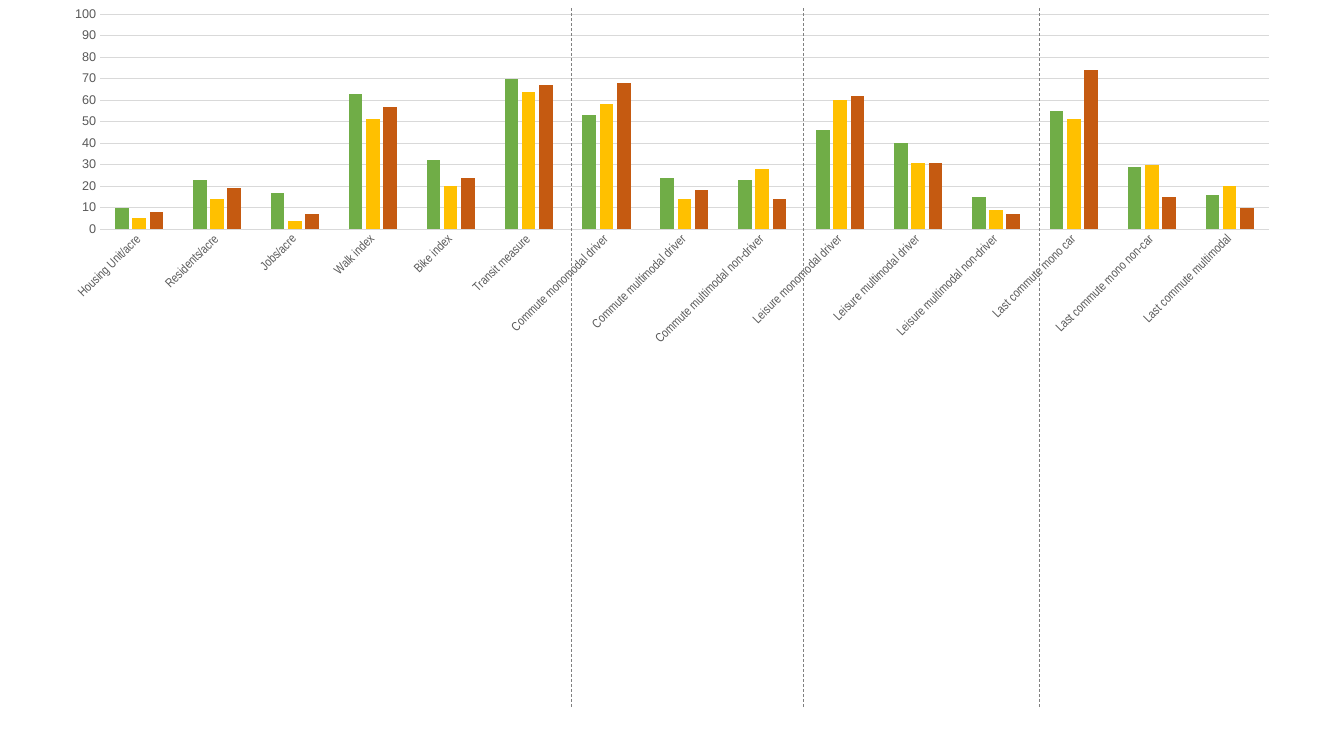
from dataclasses import dataclass

from lxml import etree
from pptx import Presentation
from pptx.chart.axis import CategoryAxis, ValueAxis
from pptx.chart.chart import Chart
from pptx.chart.data import CategoryChartData
from pptx.dml.color import RGBColor
from pptx.enum.chart import XL_CHART_TYPE, XL_TICK_MARK
from pptx.enum.dml import MSO_LINE
from pptx.enum.shapes import MSO_CONNECTOR
from pptx.oxml.ns import qn
from pptx.slide import Slide
from pptx.util import Inches, Pt

COLUMNS = XL_CHART_TYPE.COLUMN_CLUSTERED
NO_TICK = XL_TICK_MARK.NONE
DASH = MSO_LINE.DASH
STRAIGHT = MSO_CONNECTOR.STRAIGHT
BLANK_LAYOUT = 6


@dataclass(frozen=True)
class Theme:
    """Colours, fonts and sizes of the slide."""
    label: RGBColor = RGBColor(0x59, 0x59, 0x59)
    grid: RGBColor = RGBColor(0xD9, 0xD9, 0xD9)
    divider: RGBColor = RGBColor(0x80, 0x80, 0x80)
    green: RGBColor = RGBColor(0x70, 0xAD, 0x47)
    yellow: RGBColor = RGBColor(0xFF, 0xC0, 0x00)
    orange: RGBColor = RGBColor(0xC5, 0x5A, 0x11)
    value_font: str = "Arial"
    category_font: str = "Arial Narrow"
    label_size: Pt = Pt(9)
    grid_width: Pt = Pt(0.75)
    divider_width: Pt = Pt(0.5)


@dataclass(frozen=True)
class ColumnSeries:
    """One set of columns and its colour."""
    name: str
    color: RGBColor
    values: tuple[int, ...]


THEME = Theme()
TRAVELLERS = ("monomodal driver", "multimodal driver", "multimodal non-driver")
CATEGORIES = (
    "Housing Unit/acre", "Residents/acre", "Jobs/acre",
    "Walk index", "Bike index", "Transit measure",
    *(f"{trip} {traveller}" for trip in ("Commute", "Leisure") for traveller in TRAVELLERS),
    *(f"Last commute {mode}" for mode in ("mono car", "mono non-car", "multimodal")),
)
SERIES = (
    ColumnSeries("Series 1", THEME.green,
                 (10, 23, 17, 63, 32, 70, 53, 24, 23, 46, 40, 15, 55, 29, 16)),
    ColumnSeries("Series 2", THEME.yellow,
                 (5, 14, 4, 51, 20, 64, 58, 14, 28, 60, 31, 9, 51, 30, 20)),
    ColumnSeries("Series 3", THEME.orange,
                 (8, 19, 7, 57, 24, 67, 68, 18, 14, 62, 31, 7, 74, 15, 10)),
)
PLOT_AREA = {"x": 0.04, "y": 0.04, "w": 0.94, "h": 0.61}
LABEL_ROTATION = -45
DIVIDER_LEFTS = (5.67, 7.97, 10.31)
DIVIDER_STOPS = (0.08, 3.56, 7.03)


def style_axis(axis: CategoryAxis | ValueAxis, font_name: str) -> None:
    """Remove tick marks and format the labels of an axis."""
    axis.major_tick_mark = axis.minor_tick_mark = NO_TICK
    font = axis.tick_labels.font
    font.name, font.size = font_name, THEME.label_size
    font.color.rgb = THEME.label


def place_plot_area(chart: Chart) -> None:
    """Fix the inner plot area as fractions of the chart frame."""
    plot_area = chart.element.find(".//" + qn("c:plotArea"))
    for previous in plot_area.findall(qn("c:layout")):
        plot_area.remove(previous)
    layout = etree.Element(qn("c:layout"))
    manual = etree.SubElement(layout, qn("c:manualLayout"))
    settings = {"layoutTarget": "inner", "xMode": "edge", "yMode": "edge", **PLOT_AREA}
    for name, value in settings.items():
        etree.SubElement(manual, qn(f"c:{name}")).set("val", str(value))
    plot_area.insert(0, layout)


def add_measure_chart(slide: Slide) -> None:
    """Add the column chart of all measures."""
    data = CategoryChartData()
    data.categories = CATEGORIES
    for series in SERIES:
        data.add_series(series.name, series.values)
    chart = slide.shapes.add_chart(
        COLUMNS, Inches(0.5), Inches(0), Inches(12.33), Inches(3.5), data).chart
    chart.has_legend = chart.has_title = False
    chart.font.name, chart.font.size = THEME.value_font, THEME.label_size
    place_plot_area(chart)

    plot = chart.plots[0]
    plot.gap_width, plot.overlap, plot.vary_by_categories = 219, -27, False
    for columns, series in zip(plot.series, SERIES):
        columns.format.fill.solid()
        columns.format.fill.fore_color.rgb = series.color

    category_axis, value_axis = chart.category_axis, chart.value_axis
    style_axis(category_axis, THEME.category_font)
    style_axis(value_axis, THEME.value_font)
    text_body = category_axis.tick_labels.font._element.getroottree().find(
        ".//" + qn("c:catAx") + "/" + qn("c:txPr") + "/" + qn("a:bodyPr"))
    text_body.set("rot", str(LABEL_ROTATION * 60000))
    text_body.set("vert", "horz")
    value_axis.minimum_scale, value_axis.maximum_scale = 0, 100
    value_axis.major_unit = 10
    value_axis.has_major_gridlines = True
    value_axis.format.line.fill.background()
    for line in (category_axis.format.line, value_axis.major_gridlines.format.line):
        line.color.rgb, line.width = THEME.grid, THEME.grid_width


def add_divider(slide: Slide, left: float, top: float, bottom: float) -> None:
    """Add a dashed vertical line between groups of measures."""
    divider = slide.shapes.add_connector(
        STRAIGHT, Inches(left), Inches(top), Inches(left), Inches(bottom))
    divider.line.color.rgb = THEME.divider
    divider.line.width = THEME.divider_width
    divider.line.dash_style = DASH
    etree.SubElement(divider.element.spPr, qn("a:effectLst"))


def build_presentation() -> None:
    """Build the slide and save the presentation."""
    presentation = Presentation()
    presentation.slide_width, presentation.slide_height = Inches(13.33), Inches(7.5)
    slide = presentation.slides.add_slide(presentation.slide_layouts[BLANK_LAYOUT])
    add_measure_chart(slide)
    for top, bottom in zip(DIVIDER_STOPS, DIVIDER_STOPS[1:]):
        for left in DIVIDER_LEFTS:
            add_divider(slide, left, top, bottom)
    presentation.save("out.pptx")


build_presentation()
